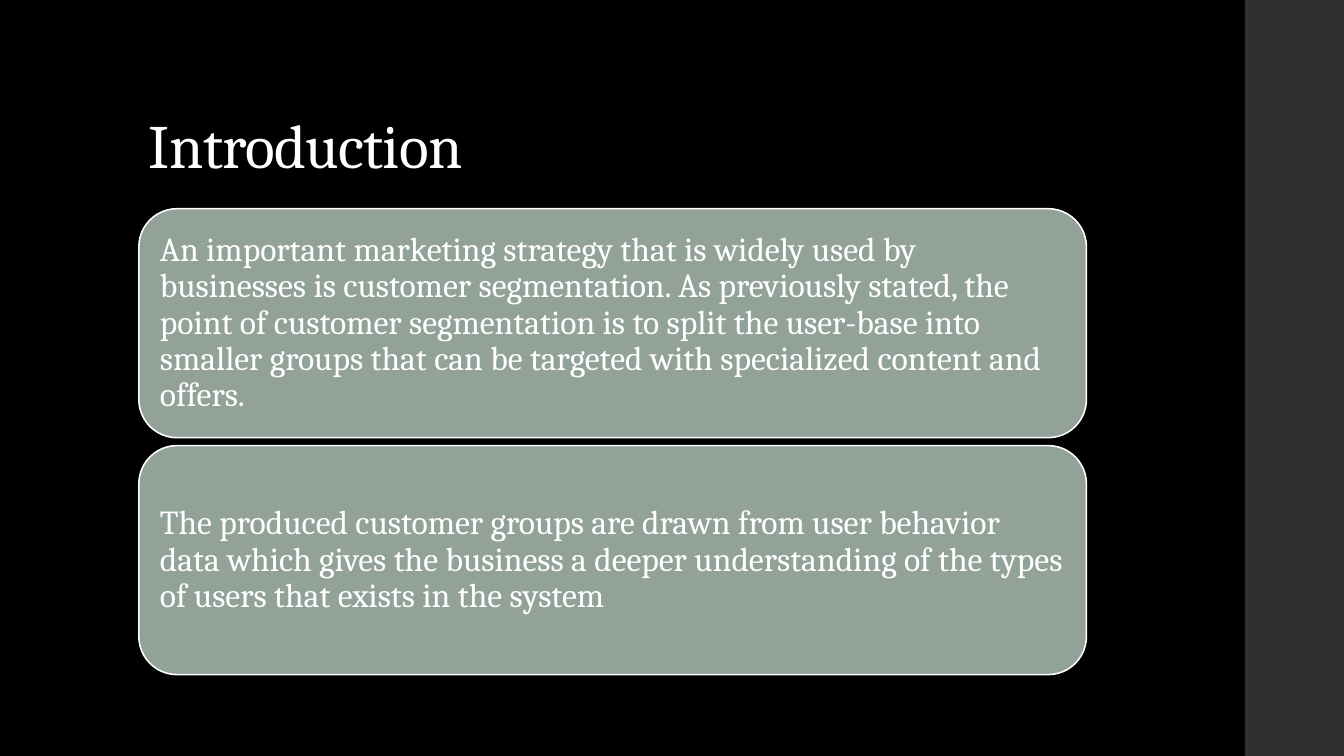
from pptx import Presentation
from pptx.dml.color import RGBColor
from pptx.enum.shapes import MSO_SHAPE as Preset
from pptx.enum.text import MSO_ANCHOR as Anchor, PP_ALIGN as Align
from pptx.util import Cm, Pt

COLORS = {"background": "000000", "band": "303030", "card": "93A299", "text": "FFFFFF"}
CARD_TEXTS = [
    "An important marketing strategy that is widely used by businesses is customer "
    "segmentation. As previously stated, the point of customer segmentation is to split "
    "the user-base into smaller groups that can be targeted with specialized content and offers.",
    "The produced customer groups are drawn from user behavior data which gives the business "
    "a deeper understanding of the types of users that exists in the system",
]
LEFT, CARD_TOP, CARD_WIDTH, CARD_HEIGHT, CARD_STEP = 3.5, 5.26, 23.88, 5.77, 5.97


def add_panel(preset, left, top, width, height, color):
    panel = slide.shapes.add_shape(preset, Cm(left), Cm(top), Cm(width), Cm(height))
    panel.shadow.inherit = False
    panel.fill.solid()
    panel.fill.fore_color.rgb = RGBColor.from_string(COLORS[color])
    panel.line.fill.background()
    return panel


def write_text(box, text, size, frame_format):
    frame = box.text_frame
    for name, value in frame_format.items():
        setattr(frame, name, value)
    para = frame.paragraphs[0]
    para.alignment = Align.LEFT
    para.line_spacing = 0.9
    span = para.add_run()
    span.text = text
    for name, value in {"name": "Cambria", "size": Pt(size)}.items():
        setattr(span.font, name, value)
    span.font.color.rgb = RGBColor.from_string(COLORS["text"])
    return span


deck = Presentation()
deck.slide_width, deck.slide_height = Cm(33.87), Cm(19.05)
slide = deck.slides.add_slide(deck.slide_layouts[5])
slide.background.fill.solid()
slide.background.fill.fore_color.rgb = RGBColor.from_string(COLORS["background"])

add_panel(Preset.RECTANGLE, 31.37, 0, 2.54, 19.05, "band")

title = slide.shapes.title
title_place = {"left": Cm(LEFT), "top": Cm(1.02), "width": Cm(26.92), "height": Cm(3.68)}
for name, value in title_place.items():
    setattr(title, name, value)
title_span = write_text(title, "Introduction", 44, {"vertical_anchor": Anchor.BOTTOM, "word_wrap": True})
title_span.font._element.set("spc", "-50")

card_format = {"vertical_anchor": Anchor.MIDDLE, "word_wrap": True}
for side in ("left", "top", "right", "bottom"):
    card_format[f"margin_{side}"] = Cm(0.25)

for index, text in enumerate(CARD_TEXTS):
    card = add_panel(Preset.ROUNDED_RECTANGLE, LEFT, CARD_TOP + index * CARD_STEP,
                     CARD_WIDTH, CARD_HEIGHT, "card")
    card.line.color.rgb = RGBColor.from_string(COLORS["text"])
    card.line.width = Pt(1.1)
    write_text(card, text, 24, card_format)

deck.save("out.pptx")
